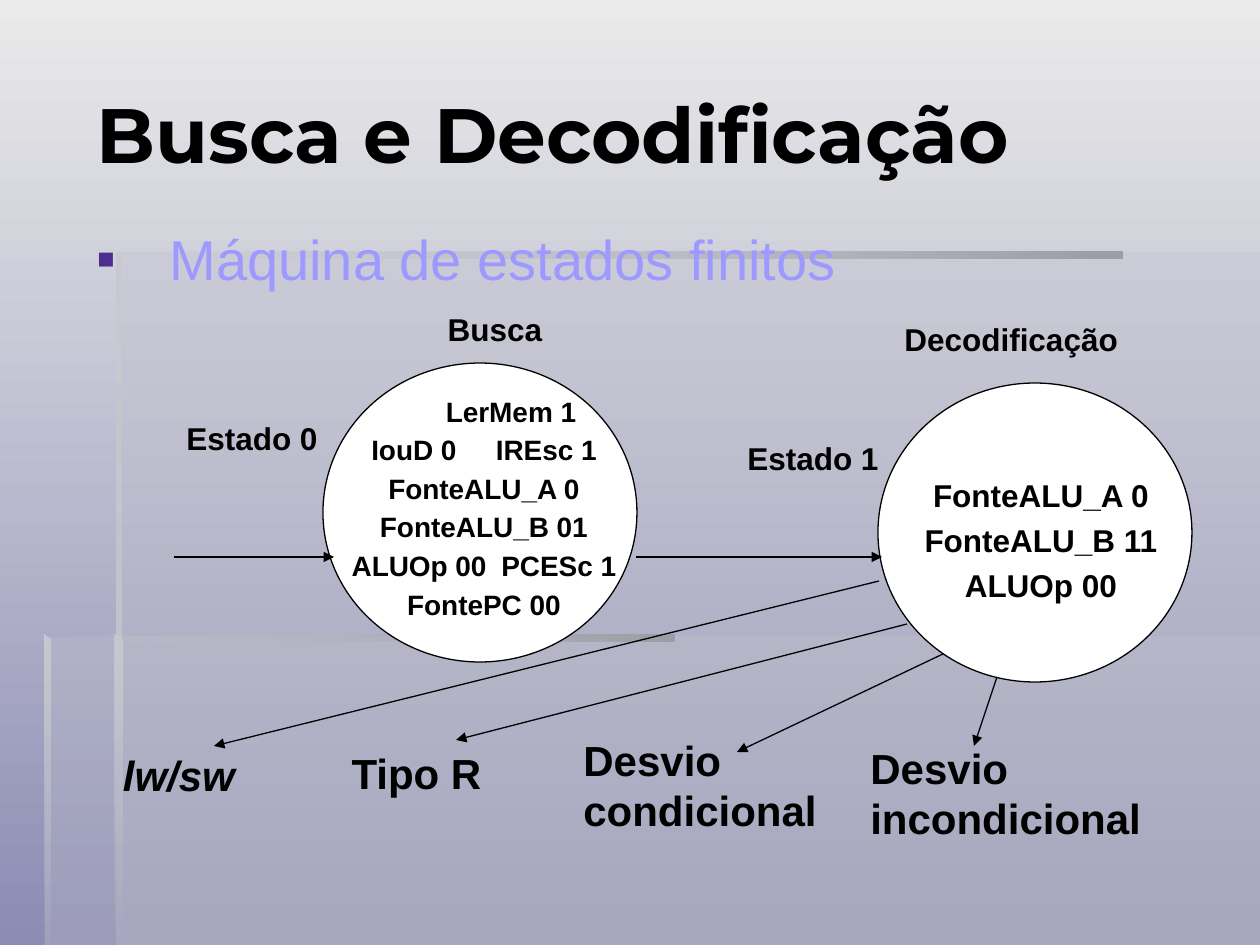
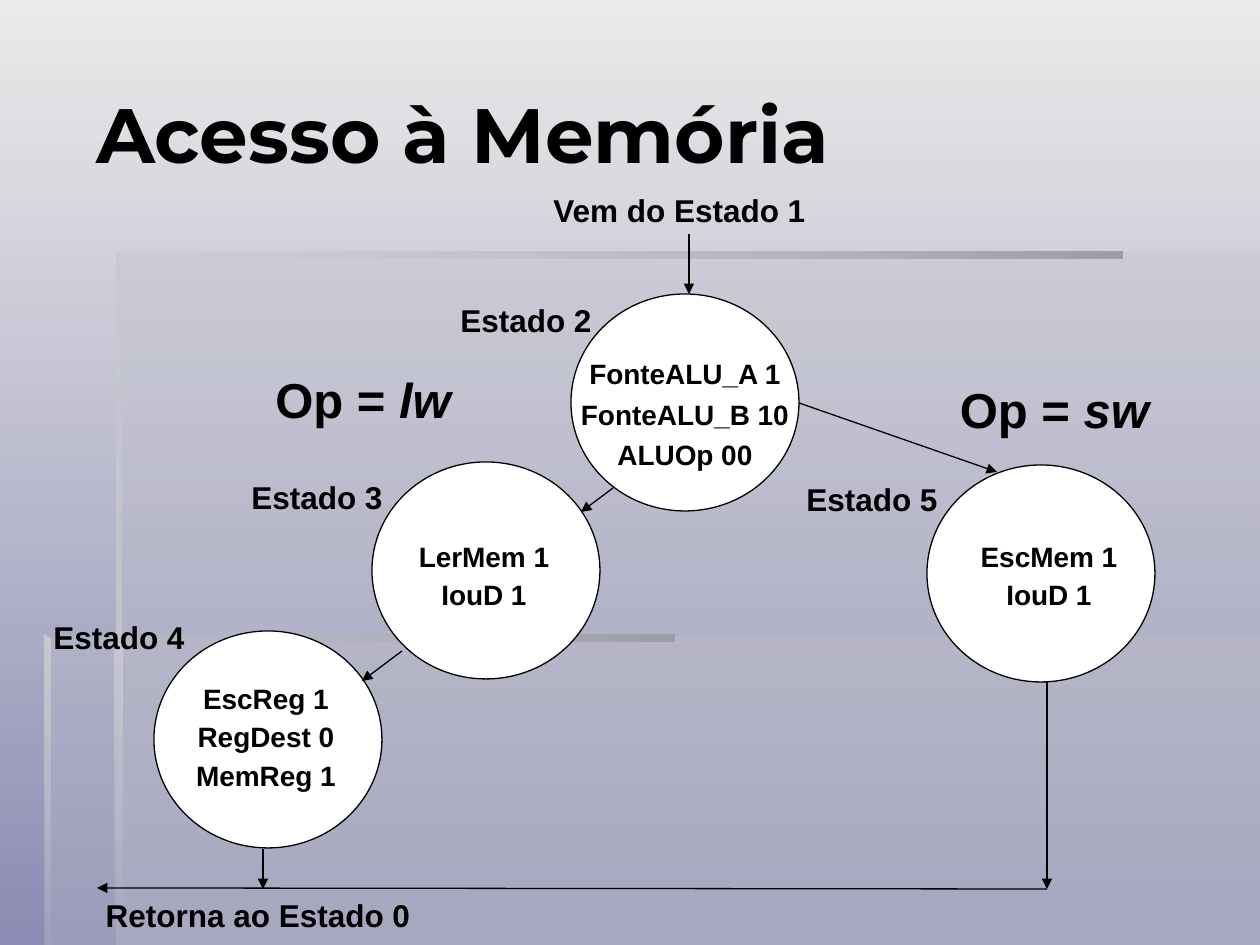
import lxml.etree
import pptx
import pptx.dml.color
import pptx.enum.shapes
import pptx.enum.text
import pptx.oxml.ns
import pptx.util

PX = pptx.util.Inches(1) / 126
COLORS = {
    "ink": "000000", "paper": "FFFFFF", "sky": "EAEAEA", "dusk": "8C8CB4",
    "haze": "C1C2CB", "bar": "9D9EA5", "post": "C7C8D0",
    "topic": "9E99FF", "bullet": "4E2D91",
}
LEFT = pptx.enum.text.PP_ALIGN.LEFT
MID = pptx.enum.text.PP_ALIGN.CENTER
DOWN, BACK = 270, 180  # gradient directions
BIG, SMALL = (314, 299), (228, 217)  # circle sizes

# Background panes, then bands: outline, first colour, direction, end opacity
PANES = [
    [(116, 636), (116, 945), (1260, 945), (1260, 636)],
    [(118, 637), (45, 637), (45, 945), (1260, 945), (1260, 252), (118, 252)],
]
BANDS = [
    ([(116, 252), (116, 259), (1123, 259), (1123, 252)], "bar", BACK, 0),
    ([(116, 252), (116, 643), (122, 643), (121, 257)], "post", DOWN, 100),
    ([(115, 945), (122, 945), (121, 640), (115, 635)], "post", DOWN, 0),
    ([(44, 635), (44, 641), (674, 641), (674, 635)], "bar", BACK, 0),
    ([(44, 635), (44, 945), (50, 945), (50, 641)], "post", DOWN, 10),
]


def emu(*px):
    return [round(n * PX) for n in px]


def rgb(name):
    return pptx.dml.color.RGBColor.from_string(COLORS[name])


def add_xml(parent, tag, **values):
    return lxml.etree.SubElement(parent, pptx.oxml.ns.qn("a:" + tag), values)


def fade(fill, first, last, angle):
    fill.gradient()
    fill.gradient_angle = angle
    for stop, name in zip(fill.gradient_stops, (first, last)):
        stop.color.rgb = rgb(name)


def veil(shape, share):
    """Set the opacity of the last colour in the shape's fill."""
    color = shape._element.spPr.findall(".//" + pptx.oxml.ns.qn("a:srgbClr"))[-1]
    add_xml(color, "alpha", val=str(share * 1000))


def outline(slide, points):
    pen = slide.shapes.build_freeform(*points[0], scale=PX)
    pen.add_line_segments(points[1:], close=True)
    shape = pen.convert_to_shape()
    shape.shadow.inherit = False
    shape.line.fill.background()
    return shape


def backdrop(slide):
    fade(slide.background.fill, "sky", "dusk", DOWN)
    for points in PANES:
        pane = outline(slide, points)
        pane.fill.solid()
        pane.fill.fore_color.rgb = rgb("haze")
        veil(pane, 30)
    for points, first, angle, share in BANDS:
        band = outline(slide, points)
        fade(band.fill, first, "haze", angle)
        veil(band, share)


def write(para, parts, color="ink", **look):
    """Add (text, italic) parts to a paragraph as runs."""
    style = {"name": "Arial", "size": 18, "bold": True} | look
    style["size"] = pptx.util.Pt(style["size"])
    for text, slant in parts:
        run = para.add_run()
        run.text = text
        for key, value in (style | {"italic": slant}).items():
            setattr(run.font, key, value)
        run.font.color.rgb = rgb(color)


def label(slide, box, *lines, align=MID, gap=1.0, anchor="TOP", **look):
    """Each line is a string or a list of (text, italic) parts."""
    frame = slide.shapes.add_textbox(*emu(*box)).text_frame
    frame.word_wrap = True
    frame.vertical_anchor = getattr(pptx.enum.text.MSO_ANCHOR, anchor)
    for n, line in enumerate(lines):
        para = frame.paragraphs[0] if n == 0 else frame.add_paragraph()
        para.alignment = align
        para.line_spacing = gap
        write(para, [(line, False)] if isinstance(line, str) else line, **look)
    return frame.paragraphs


def heading(slide, text):
    label(slide, (84, 34, 1160, 198), text, align=LEFT, anchor="MIDDLE",
          name="Montserrat", size=44)


def topic(slide, text, box):
    para = label(slide, box, text, align=LEFT, gap=1.05, size=32,
                 bold=False, color="topic")[0]
    props = para._p.get_or_add_pPr()
    indent = emu(73)[0]
    props.set("marL", str(indent))
    props.set("indent", str(-indent))
    add_xml(add_xml(props, "buClr"), "srgbClr", val=COLORS["bullet"])
    add_xml(props, "buFont", typeface="Arial")
    add_xml(props, "buChar", char="▪")


def pair(left, right):
    """Two signals on one line, with the space as a run of its own."""
    return [(left, False), (" ", False), (right, False)]


def widen(para, points):
    """Widen the space between a pair of signals."""
    para.runs[1]._r.get_or_add_rPr().set("spc", str(points * 100))


def state(slide, spot, size, name, tag, inset, *lines, gap=1.15, font=16):
    """Circle at spot; its tag and text are offset from its corner."""
    x, y = spot
    circle = slide.shapes.add_shape(pptx.enum.shapes.MSO_SHAPE.OVAL, *emu(x, y, *size))
    circle.shadow.inherit = False
    circle.fill.solid()
    circle.fill.fore_color.rgb = rgb("paper")
    circle.line.color.rgb = rgb("ink")
    circle.line.width = pptx.util.Pt(0.75)
    label(slide, (x + tag[0], y + tag[1], 228, 78), name)
    dx, dy, width = inset
    return label(slide, (x + dx, y + dy, width, size[1] - dy), *lines, gap=gap, size=font)


def arrow(slide, *ends):
    link = slide.shapes.add_connector(pptx.enum.shapes.MSO_CONNECTOR.STRAIGHT, *emu(*ends))
    link.line.color.rgb = rgb("ink")
    link.line.width = pptx.util.Pt(0.75)
    add_xml(link.line._get_or_add_ln(), "tailEnd", type="triangle")
    add_xml(link._element.spPr, "effectLst")


def fetch(slide):
    heading(slide, "Busca e Decodificação")
    topic(slide, "Máquina de estados finitos", (84, 215, 1176, 118))

    # States and their captions
    lines = state(slide, (323, 363), BIG, "Estado 0", (-185, 50), (5, 20, 312),
                  "LerMem 1", pair("IouD 0", "IREsc 1"), "FonteALU_A 0",
                  "FonteALU_B 01", pair("ALUOp 00", "PCESc 1"), "FontePC 00")
    lines[0]._p.get_or_add_pPr().set("marL", str(emu(54)[0]))
    widen(lines[1], 18)
    widen(lines[4], 4)
    state(slide, (878, 383), BIG, "Estado 1", (-179, 50), (-2, 79, 330),
          "FonteALU_A 0", "FonteALU_B 11", "ALUOp 00", gap=1.2, font=18)
    label(slide, (402, 304, 186, 52), "Busca")
    label(slide, (892, 314, 255, 52), "Decodificação", align=LEFT)

    # Transitions
    for ends in [(174, 557, 334, 557), (636, 557, 882, 557), (997, 677, 974, 746),
                 (943, 654, 737, 752), (907, 624, 456, 740), (879, 581, 214, 746)]:
        arrow(slide, *ends)

    # Instruction classes
    label(slide, (65, 743, 228, 86), [("lw/sw", True)], size=24)
    label(slide, (302, 741, 229, 76), "Tipo R", size=24)
    label(slide, (571, 728, 287, 92), "Desvio condicional", align=LEFT, size=24)
    label(slide, (858, 736, 318, 105), "Desvio", "incondicional", align=LEFT, size=24)


def access(slide):
    heading(slide, "Acesso à Memória")

    # Entry, branches and return
    label(slide, (541, 185, 407, 78), "Vem do Estado 1", align=LEFT)
    for box, code in [((184, 363, 358, 101), "lw"), ((927, 373, 255, 100), "sw")]:
        label(slide, box, [("Op = ", False), (code, True)], size=28)
    label(slide, (84, 890, 348, 54), "Retorna ao Estado 0")

    # States
    state(slide, (571, 294), SMALL, "Estado 2", (-159, 1), (-51, 50, 330),
          "FonteALU_A 1", "FonteALU_B 10", "ALUOp 00", gap=1.2)
    state(slide, (372, 462), SMALL, "Estado 3", (-169, 10), (-44, 66, 312),
          "LerMem 1", "IouD 1")
    state(slide, (154, 631), SMALL, "Estado 4", (-149, -19), (-44, 39, 312),
          "EscReg 1", "RegDest 0", "MemReg 1")
    state(slide, (927, 465), SMALL, "Estado 5", (-169, 9), (-34, 63, 312),
          "EscMem 1", "IouD 1")

    # Transitions
    for ends in [(689, 234, 689, 294), (1047, 889, 97, 888), (1047, 681, 1047, 889),
                 (613, 488, 581, 512), (402, 651, 362, 681), (799, 403, 997, 472),
                 (263, 849, 263, 889)]:
        arrow(slide, *ends)


def main():
    deck = pptx.Presentation()
    deck.slide_width, deck.slide_height = emu(1260, 945)
    for draw in (fetch, access):
        slide = deck.slides.add_slide(deck.slide_layouts[6])
        backdrop(slide)
        draw(slide)
    deck.save("out.pptx")


if __name__ == "__main__":
    main()
